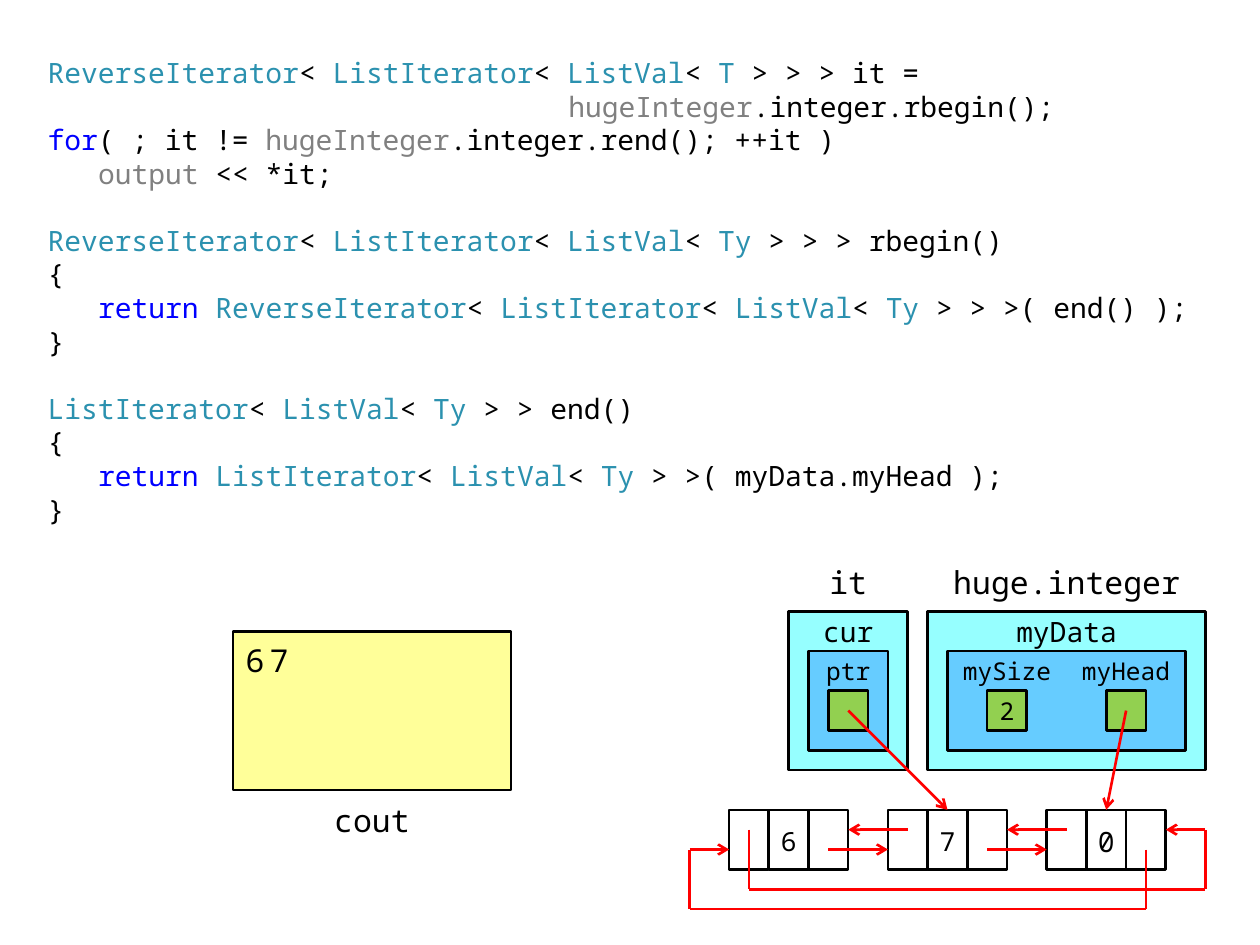
"""Build a slide on reverse iteration over a linked list of digits."""
from dataclasses import dataclass
from itertools import pairwise
from typing import Optional

from lxml import etree
from pptx import Presentation
from pptx.dml.color import RGBColor
from pptx.enum.shapes import MSO_CONNECTOR, MSO_SHAPE
from pptx.enum.text import MSO_ANCHOR, PP_ALIGN
from pptx.oxml.ns import qn
from pptx.util import Inches, Pt

RECTANGLE, PROCESS = MSO_SHAPE.RECTANGLE, MSO_SHAPE.FLOWCHART_PROCESS
STRAIGHT = MSO_CONNECTOR.STRAIGHT
LEFT, CENTER = PP_ALIGN.LEFT, PP_ALIGN.CENTER
TOP, MIDDLE = MSO_ANCHOR.TOP, MSO_ANCHOR.MIDDLE

BLACK = RGBColor(0x00, 0x00, 0x00)
RED = RGBColor(0xFF, 0x00, 0x00)
TEAL = RGBColor(0x2B, 0x91, 0xAF)
BLUE = RGBColor(0x00, 0x00, 0xFF)
GRAY = RGBColor(0x80, 0x80, 0x80)
CYAN = RGBColor(0x96, 0xFF, 0xFF)
SKY = RGBColor(0x66, 0xCC, 0xFF)
GREEN = RGBColor(0x92, 0xD0, 0x50)
YELLOW = RGBColor(0xFF, 0xFF, 0x99)

FONT = "Noto Sans Mono"
CODE_SIZE = 16
CODE_LEADING = 19.2
CHARACTER_WIDTH = 0.6 * CODE_SIZE
GRID_LEFT, GRID_TOP, GRID_STEP = 1.85, 4.38, 0.1575

TOKEN_COLORS = {
    **dict.fromkeys(("ReverseIterator", "ListIterator", "ListVal", "T", "Ty"), TEAL),
    **dict.fromkeys(("for", "return"), BLUE),
    **dict.fromkeys(("hugeInteger", "output"), GRAY),
}


@dataclass(frozen=True)
class CodeLine:
    """A line of code, its tokens parted by bars."""
    tokens: str
    indent: int = 0
    gap_above: bool = False


@dataclass(frozen=True)
class Box:
    """An outlined box placed by grid column and row."""
    column: int
    row: int
    columns: int
    rows: int
    fill: Optional[RGBColor] = None
    preset: int = PROCESS


@dataclass(frozen=True)
class Label:
    """A centred caption placed by grid column and row."""
    text: str
    column: int
    row: int
    columns: int
    rows: int
    size: int


CODE = (
    CodeLine("ReverseIterator|< |ListIterator|< |ListVal|< |T| > > > it ="),
    CodeLine("hugeInteger|.integer.rbegin();", indent=31),
    CodeLine("for|( ; it != |hugeInteger|.integer.rend(); ++it )"),
    CodeLine("output| << *it;", indent=3),
    CodeLine("ReverseIterator|< |ListIterator|< |ListVal|< |Ty| > > > rbegin()",
             gap_above=True),
    CodeLine("{"),
    CodeLine("return| |ReverseIterator|< |ListIterator|< |ListVal|< |Ty| > > >( end() );",
             indent=3),
    CodeLine("}"),
    CodeLine("ListIterator|< |ListVal|< |Ty| > > end()", gap_above=True),
    CodeLine("{"),
    CodeLine("return| |ListIterator|< |ListVal|< |Ty| > >( myData.myHead );", indent=3),
    CodeLine("}"),
)
OBJECT_BOXES = (
    Box(28, 3, 6, 8, CYAN),
    Box(29, 5, 4, 5, SKY),
    Box(30, 7, 2, 2, GREEN, RECTANGLE),
    Box(35, 3, 14, 8, CYAN),
    Box(36, 5, 12, 5, SKY),
    Box(44, 7, 2, 2, GREEN, RECTANGLE),
)
SIZE_BOX = Box(38, 7, 2, 2, GREEN, RECTANGLE)
OUTPUT_BOX = Box(0, 4, 14, 8, YELLOW)
LABELS = (
    Label("it", 29, 0, 4, 3, 18),
    Label("cur", 29, 3, 4, 2, 16),
    Label("ptr", 29, 5, 4, 2, 14),
    Label("huge.integer", 35, 0, 14, 3, 18),
    Label("myData", 38, 3, 8, 2, 16),
    Label("mySize", 36, 5, 6, 2, 14),
    Label("myHead", 42, 5, 6, 2, 14),
    Label("cout", 4, 12, 6, 3, 18),
)
NODES = (("6", 25, 15), ("7", 33, 15), ("0", 41, 16))
WIRES = (
    ((46, 15), (46, 18), (23, 18), (23, 15), (25, 15)),
    ((26, 14), (26, 17), (49, 17), (49, 14), (47, 14)),
    ((34, 14), (31, 14)),
    ((42, 14), (39, 14)),
    ((30, 15), (33, 15)),
    ((38, 15), (41, 15)),
)
POINTERS = (((31, 8), 1), ((45, 8), 2))


def place(column: int, row: int) -> tuple:
    """Return the slide position of a grid point."""
    return (Inches(GRID_LEFT + column * GRID_STEP), Inches(GRID_TOP + row * GRID_STEP))


def extent(item) -> tuple:
    """Return the width and height of a grid item."""
    return Inches(item.columns * GRID_STEP), Inches(item.rows * GRID_STEP)


def prepare_frame(shape, anchor: int = MIDDLE, insets: tuple = (0, 0, 0, 0)):
    """Set wrapping, anchor and insets, and return the text frame."""
    frame = shape.text_frame
    frame.word_wrap = True
    frame.vertical_anchor = anchor
    (frame.margin_left, frame.margin_top,
     frame.margin_right, frame.margin_bottom) = map(Inches, insets)
    return frame


def write(paragraph, text: str, *, size: float, color: RGBColor = BLACK,
          align: int = CENTER, spacing: int = 0) -> None:
    """Append formatted text to a paragraph."""
    paragraph.alignment = align
    run = paragraph.add_run()
    run.text = text
    run.font.name, run.font.size = FONT, Pt(size)
    run.font.color.rgb = color
    if spacing:
        run.font._element.set("spc", str(spacing * 100))


def draw_code(slide) -> None:
    """Draw the coloured code listing."""
    shape = slide.shapes.add_textbox(*map(Inches, (0.28, 0.44, 9.45, 4.09)))
    frame = prepare_frame(shape, TOP, (0.1, 0, 0.1, 0.05))
    for index, line in enumerate(CODE):
        paragraph = frame.add_paragraph() if index else frame.paragraphs[0]
        paragraph.line_spacing = Pt(CODE_LEADING)
        paragraph.space_before = Pt(CODE_LEADING if line.gap_above else 0)
        properties = paragraph._p.get_or_add_pPr()
        properties.set("marL", str(int(Pt(line.indent * CHARACTER_WIDTH))))
        for token in line.tokens.split("|"):
            write(paragraph, token, size=CODE_SIZE, align=LEFT,
                  color=TOKEN_COLORS.get(token, BLACK))


def draw_box(slide, box: Box):
    """Draw an outlined box."""
    shape = slide.shapes.add_shape(box.preset, *place(box.column, box.row), *extent(box))
    shape.shadow.inherit = False
    shape.line.color.rgb, shape.line.width = BLACK, Pt(1.5)
    if box.fill is None:
        shape.fill.background()
    else:
        shape.fill.solid()
        shape.fill.fore_color.rgb = box.fill
    return shape


def draw_label(slide, label: Label) -> None:
    """Draw a centred caption."""
    shape = slide.shapes.add_textbox(*place(label.column, label.row), *extent(label))
    write(prepare_frame(shape).paragraphs[0], label.text, size=label.size)


def draw_node(slide, digit: str, column: int, size: int):
    """Draw a three-cell list node and return its middle cell."""
    cells = [draw_box(slide, Box(column + offset, 13, 2, 3, preset=RECTANGLE))
             for offset in (0, 2, 4)]
    frame = prepare_frame(cells[1], insets=(0, 0.06, 0, 0.04))
    write(frame.paragraphs[0], digit, size=size)
    return cells[1]


def draw_line(slide, start: tuple, end: tuple, arrow: bool = True):
    """Draw a red line between two grid points."""
    connector = slide.shapes.add_connector(STRAIGHT, *place(*start), *place(*end))
    connector.line.color.rgb, connector.line.width = RED, Pt(1.5)
    if arrow:
        etree.SubElement(connector.line._get_or_add_ln(), qn("a:tailEnd"), type="arrow")
    etree.SubElement(connector._element.spPr, qn("a:effectLst"))
    return connector


def main() -> None:
    """Build and save the slide."""
    presentation = Presentation()
    presentation.slide_width, presentation.slide_height = Inches(10), Inches(7.5)
    slide = presentation.slides.add_slide(presentation.slide_layouts[6])
    draw_code(slide)
    for box in OBJECT_BOXES:
        draw_box(slide, box)
    frame = prepare_frame(draw_box(slide, SIZE_BOX))
    write(frame.paragraphs[0], "2", size=14)
    frame = prepare_frame(draw_box(slide, OUTPUT_BOX), TOP, (0.1, 0.08, 0.1, 0.05))
    write(frame.paragraphs[0], "67", size=18, align=LEFT, spacing=3)
    for label in LABELS:
        draw_label(slide, label)
    digit_cells = [draw_node(slide, *node) for node in NODES]
    for wire in WIRES:
        for start, end in pairwise(wire):
            draw_line(slide, start, end, arrow=end == wire[-1])
    for start, node_index in POINTERS:
        column = NODES[node_index][1] + 3
        draw_line(slide, start, (column, 13)).end_connect(digit_cells[node_index], 0)
    presentation.save("out.pptx")


if __name__ == "__main__":
    main()
